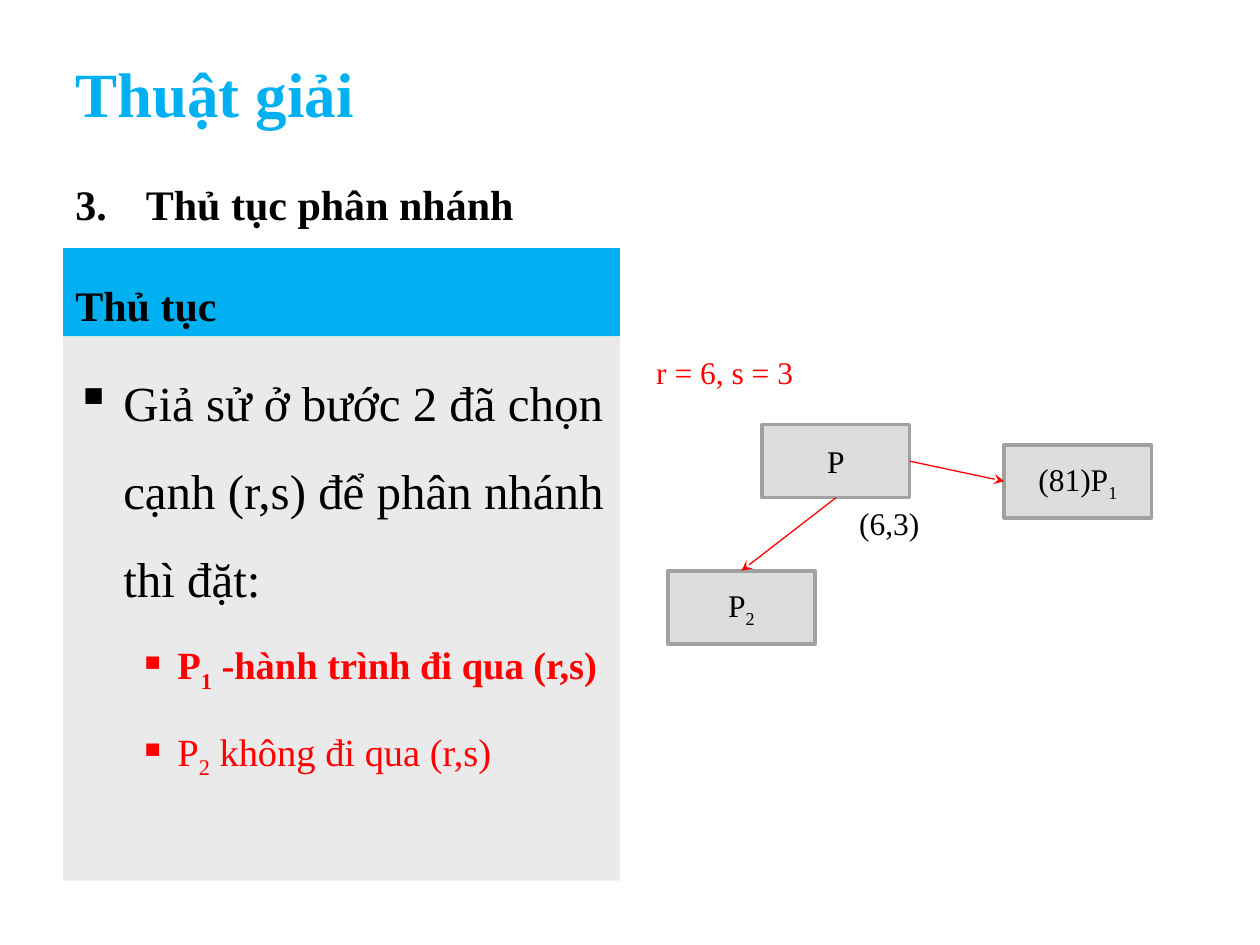
import pptx
import pptx.util
import pptx.dml.color
import pptx.enum.dml
import pptx.enum.shapes
import pptx.enum.text
import pptx.oxml.ns
from lxml import etree

Inches = pptx.util.Inches
Pt = pptx.util.Pt
Anchor = pptx.enum.text.MSO_ANCHOR
Align = pptx.enum.text.PP_ALIGN
qn = pptx.oxml.ns.qn

FONT = "Times New Roman"
COLORS = {
    "blue": "00B0F0",
    "panel": "EAEAEA",
    "node": "DDDDDD",
    "border": "A1A1A1",
    "red": "FF0000",
    "black": "000000",
}
NODE_WIDTH, NODE_HEIGHT = 1.17, 0.58


def color(name):
    return pptx.dml.color.RGBColor.from_string(COLORS[name])


def write(paragraph, text, size, color_name="black", bold=False):
    """Fill a paragraph; every second part of text split at "_" is a subscript."""
    for index, part in enumerate(text.split("_")):
        run = paragraph.add_run()
        run.text = part
        if index % 2:
            run._r.get_or_add_rPr().set("baseline", "-25000")
    font = paragraph.font
    font.name, font.size, font.bold = FONT, Pt(size), bold
    font.color.rgb = color(color_name)


def set_bullet(paragraph, tag, indent, hanging, **attributes):
    properties = paragraph._p.get_or_add_pPr()
    properties.set("marL", str(Inches(indent)))
    properties.set("indent", str(-Inches(hanging)))
    etree.SubElement(properties, qn(tag), attributes)


def add_text(slide, box, anchor=Anchor.TOP):
    """Add an empty wrapping text box and return its first paragraph."""
    frame = slide.shapes.add_textbox(*map(Inches, box)).text_frame
    frame.word_wrap = True
    frame.vertical_anchor = anchor
    return frame.paragraphs[0]


def add_box(slide, box, fill, anchor, border=None):
    shape = slide.shapes.add_shape(
        pptx.enum.shapes.MSO_SHAPE.RECTANGLE, *map(Inches, box))
    shape.shadow.inherit = False
    shape.fill.solid()
    shape.fill.fore_color.rgb = color(fill)
    if border:
        shape.line.color.rgb = color(border)
        shape.line.width = Pt(2)
    else:
        shape.line.fill.background()
    frame = shape.text_frame
    frame.word_wrap = True
    frame.vertical_anchor = anchor
    frame.paragraphs[0].alignment = Align.LEFT
    return shape


def add_headings(slide, left, top):
    write(add_text(slide, (left, top, 9, 0.87), Anchor.MIDDLE),
          "Thuật giải", 36, "blue", True)
    step = add_text(slide, (left, top + 0.87, 8.67, 0.63))
    step.line_spacing = 1.5
    set_bullet(step, "a:buAutoNum", 0.56, 0.56, type="arabicPeriod", startAt="3")
    write(step, "Thủ tục phân nhánh", 24, bold=True)


def add_procedure(slide, left, top, width, height):
    header_height = 0.7
    header = add_box(slide, (left, top, width, header_height), "blue", Anchor.BOTTOM)
    write(header.text_frame.paragraphs[0], "Thủ tục", 24, bold=True)

    body = add_box(slide, (left, top + header_height, width, height - header_height),
                   "panel", Anchor.TOP)
    frame = body.text_frame
    items = [
        (0, "Giả sử ở bước 2 đã chọn cạnh (r,s) để phân nhánh thì đặt:", False),
        (1, "P_1_ -hành trình đi qua (r,s)", True),
        (1, "P_2_ không đi qua (r,s)", False),
    ]
    for index, (level, text, bold) in enumerate(items):
        paragraph = frame.add_paragraph() if index else frame.paragraphs[0]
        paragraph.alignment = Align.LEFT
        paragraph.level = level
        paragraph.line_spacing = 1.5
        if level:
            paragraph.space_before = Pt(4.4)
            set_bullet(paragraph, "a:buChar", 0.81, 0.31, char="▪")
            write(paragraph, text, 22, "red", bold)
        else:
            set_bullet(paragraph, "a:buChar", 0.38, 0.38, char="▪")
            write(paragraph, text, 28)


def add_node(slide, left, top, text):
    node = add_box(slide, (left, top, NODE_WIDTH, NODE_HEIGHT), "node",
                   Anchor.MIDDLE, "border")
    paragraph = node.text_frame.paragraphs[0]
    paragraph.alignment = Align.CENTER
    write(paragraph, text, 18)
    return node


def add_arrow(slide, source, source_site, target, target_site):
    """Join two nodes; sites are 0 top, 1 left, 2 bottom, 3 right."""
    arrow = slide.shapes.add_connector(
        pptx.enum.shapes.MSO_CONNECTOR.STRAIGHT, 0, 0, 0, 0)
    arrow.begin_connect(source, source_site)
    arrow.end_connect(target, target_site)
    arrow.line.color.rgb = color("red")
    arrow.line.width = Pt(0.75)
    etree.SubElement(arrow.line._get_or_add_ln(), qn("a:tailEnd"), type="stealth")
    etree.SubElement(arrow._element.spPr, qn("a:effectLst"))


def add_branch_tree(slide, left, top):
    write(add_text(slide, (left, top, 1.42, 0.4)), "r = 6, s = 3", 18, "red")
    root = add_node(slide, left + 0.94, top + 0.62, "P")
    without_edge = add_node(slide, left + 0.19, top + 1.78, "P_2")
    with_edge = add_node(slide, left + 2.86, top + 0.78, "(81)P_1")
    add_arrow(slide, root, 3, with_edge, 1)
    add_arrow(slide, root, 2, without_edge, 0)
    write(add_text(slide, (left + 1.61, top + 1.2, 0.69, 0.4)), "(6,3)", 18)


def main():
    presentation = pptx.Presentation()
    presentation.slide_width = Inches(10)
    presentation.slide_height = Inches(7.5)
    slide = presentation.slides.add_slide(presentation.slide_layouts[6])
    add_headings(slide, 0.5, 0.3)
    add_procedure(slide, 0.5, 1.97, 4.42, 5.02)
    add_branch_tree(slide, 5.11, 2.75)
    presentation.save("out.pptx")


if __name__ == "__main__":
    main()
